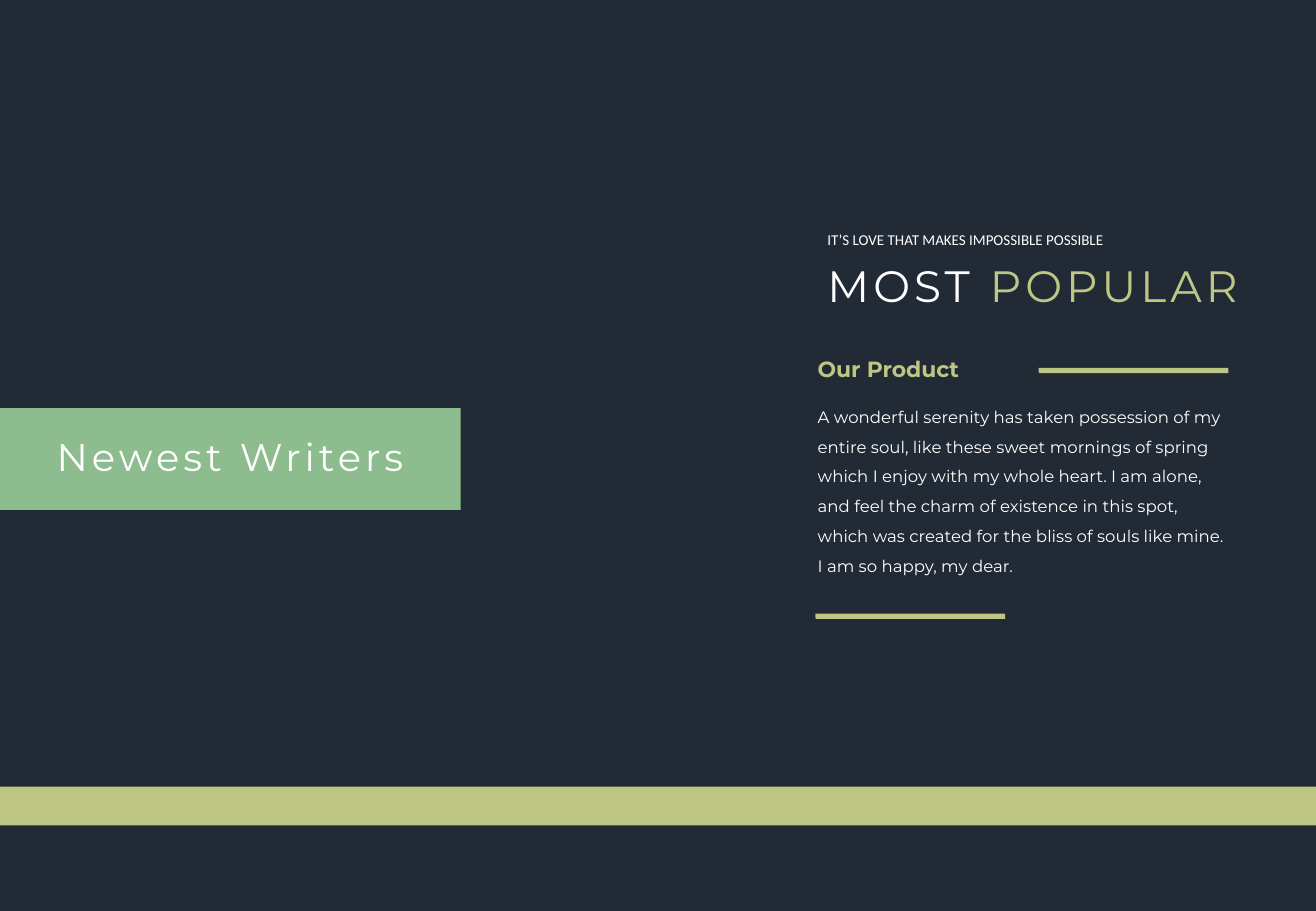
from pptx import Presentation
from pptx.dml.color import RGBColor
from pptx.enum.shapes import MSO_SHAPE
from pptx.enum.text import MSO_AUTO_SIZE, PP_ALIGN
from pptx.util import Pt

RECTANGLE = MSO_SHAPE.RECTANGLE
SNIPPED = MSO_SHAPE.SNIP_2_DIAG_RECTANGLE
LEFT, CENTER = PP_ALIGN.LEFT, PP_ALIGN.CENTER
GROW = MSO_AUTO_SIZE.SHAPE_TO_FIT_TEXT

NIGHT = RGBColor(0x22, 0x2A, 0x35)
OLIVE = RGBColor(0xBD, 0xC7, 0x83)
GREEN = RGBColor(0x8D, 0xBD, 0x8E)
WHITE = RGBColor(0xFF, 0xFF, 0xFF)

# Content and layout, in points
PAGE_WIDTH, PAGE_HEIGHT = 779.76, 540
BANNER_WIDTH = 272.9
TITLE_LEFT, BODY_LEFT = 483.1, 477.4
RULE_WIDTH, RULE_HEIGHT = 112.4, 3.1
TRACKING = 2.4

# Preset, left, top, width, height, colour
SHAPES = [
    (RECTANGLE, 0, 466.3, PAGE_WIDTH, 23, OLIVE),
    (RECTANGLE, 0, 241.9, BANNER_WIDTH, 60.3, GREEN),
    (SNIPPED, TITLE_LEFT, 363.7, RULE_WIDTH, RULE_HEIGHT, OLIVE),
    (SNIPPED, 615.4, 218, RULE_WIDTH, RULE_HEIGHT, OLIVE),
]

BODY = (
    "A wonderful serenity has taken possession of my entire soul, like these "
    "sweet mornings of spring which I enjoy with my whole heart. I am alone, "
    "and feel the charm of existence in this spot, which was created for the "
    "bliss of souls like mine. I am so happy, my dear."
)

# Place, spans of (text, colour), font, size, other settings
TEXTS = [
    ((TITLE_LEFT, 149.8, 296.6, 38.9),
     [("MOST ", WHITE), ("POPULAR", OLIVE)],
     "Montserrat", 26, {"tracking": TRACKING}),
    ((TITLE_LEFT, 133.2, 181.4, 18),
     [("IT’S LOVE THAT MAKES IMPOSSIBLE POSSIBLE", WHITE)],
     "Calibri", 8.9, {"wrap": False}),
    ((BODY_LEFT, 231.8, 258.5, 111.6), [(BODY, WHITE)],
     "Montserrat", 9.8, {"line_spacing": 1.5}),
    ((BODY_LEFT, 207.4, 157.7, 23), [("Our Product", OLIVE)],
     "Montserrat", 13, {"bold": True}),
    ((0, 253.4, BANNER_WIDTH, 34.6), [("Newest Writers", WHITE)],
     "Montserrat", 22.8, {"tracking": TRACKING, "align": CENTER}),
]


def add_block(page, preset, left, top, width, height, color):
    block = page.shapes.add_shape(preset, Pt(left), Pt(top), Pt(width), Pt(height))
    block.shadow.inherit = False
    block.fill.solid()
    block.fill.fore_color.rgb = color
    block.line.fill.background()


def add_text(page, place, spans, font, size, wrap=True, align=LEFT,
             line_spacing=None, bold=False, tracking=0):
    box = page.shapes.add_textbox(*[Pt(length) for length in place])
    frame = box.text_frame
    frame.word_wrap = wrap
    frame.auto_size = GROW
    para = frame.paragraphs[0]
    para.alignment = align
    para.line_spacing = line_spacing
    for text, color in spans:
        span = para.add_run()
        span.text = text
        span.font.name = font
        span.font.size = Pt(size)
        span.font.bold = bold
        span.font.color.rgb = color
        if tracking:
            span.font._element.set("spc", str(round(tracking * 100)))


def main():
    deck = Presentation()
    deck.slide_width, deck.slide_height = Pt(PAGE_WIDTH), Pt(PAGE_HEIGHT)
    page = deck.slides.add_slide(deck.slide_layouts[6])
    page.background.fill.solid()
    page.background.fill.fore_color.rgb = NIGHT

    # Bands and rules lie behind the text
    for shape in SHAPES:
        add_block(page, *shape)
    for place, spans, font, size, settings in TEXTS:
        add_text(page, place, spans, font, size, **settings)

    deck.save("out.pptx")


if __name__ == "__main__":
    main()
